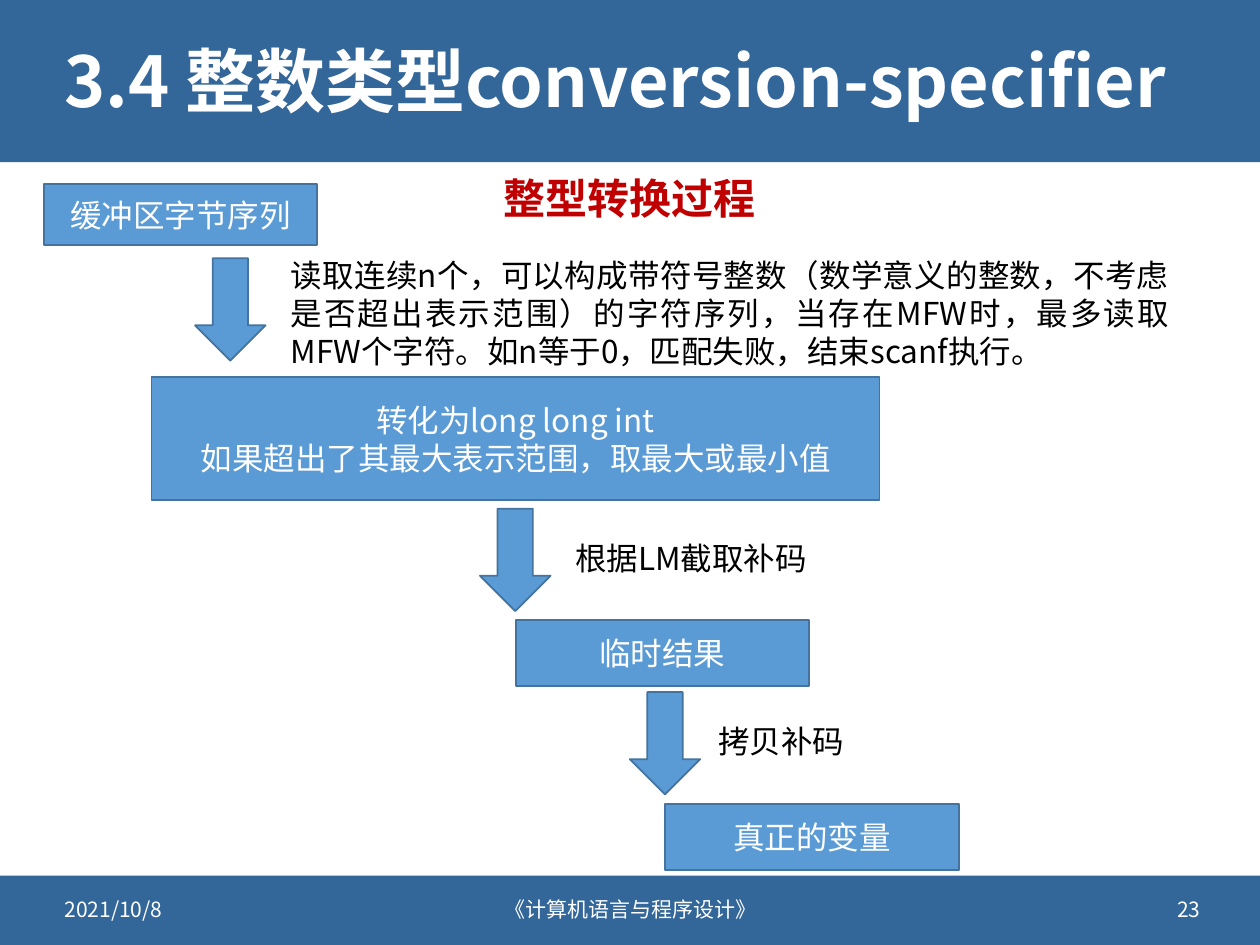
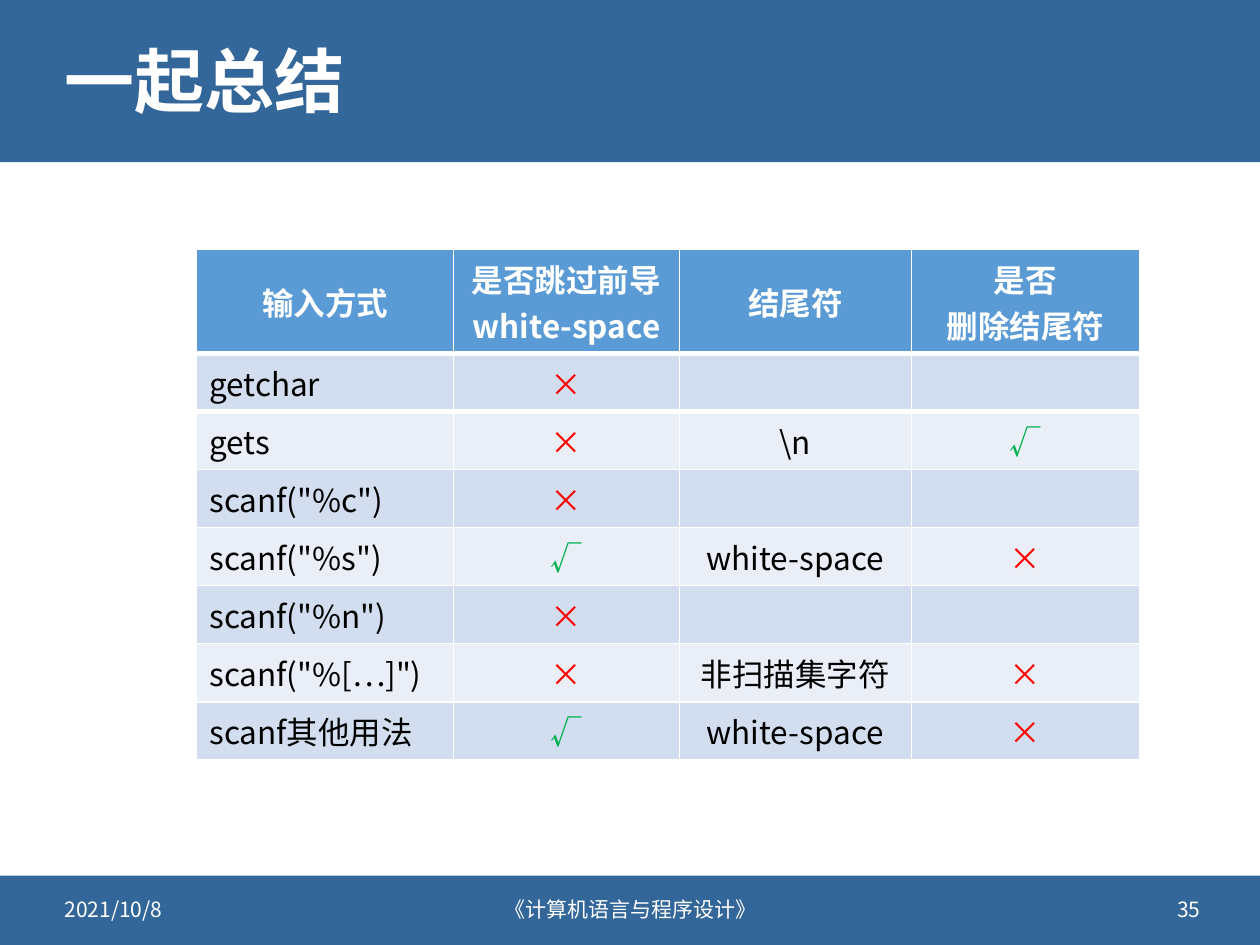
"""Build two lecture pages: the integer conversion flow and the input summary table."""
from dataclasses import dataclass

from lxml import etree
from pptx import Presentation
from pptx.dml.color import RGBColor
from pptx.enum import shapes, text
from pptx.oxml import ns
from pptx.util import Pt

FONT = "Noto Sans CJK SC"
LINE_RATIO = 1.21
COLORS = {
    "band": "336699",
    "accent": "5B9BD5",
    "outline": "43739E",
    "white": "FFFFFF",
    "black": "000000",
    "heading": "C00000",
    "row_odd": "D2DEEF",
    "row_even": "EAEFF7",
    "no": "FF0000",
    "yes": "00B050",
}
LEFT, CENTER, RIGHT, JUSTIFY = (
    text.PP_ALIGN.LEFT, text.PP_ALIGN.CENTER, text.PP_ALIGN.RIGHT, text.PP_ALIGN.JUSTIFY
)
TOP, MIDDLE = text.MSO_ANCHOR.TOP, text.MSO_ANCHOR.MIDDLE
RECT, ARROW = shapes.MSO_SHAPE.RECTANGLE, shapes.MSO_SHAPE.DOWN_ARROW
PAGE_WIDTH, PAGE_HEIGHT = 720, 540
ARROW_SIZE = (40.3, 58.5)


@dataclass(frozen=True)
class Area:
    left: float
    top: float
    width: float
    height: float

    def lengths(self) -> list:
        return [Pt(v) for v in (self.left, self.top, self.width, self.height)]


@dataclass(frozen=True)
class Style:
    size: float = 18
    color: str = "black"
    bold: bool = False
    align: int = LEFT
    anchor: int = TOP
    spacing: float | None = 1


@dataclass(frozen=True)
class Label:
    area: Area
    words: str
    style: Style


@dataclass(frozen=True)
class Step:
    area: Area
    words: str


TITLE = Style(40, "white", True, anchor=MIDDLE, spacing=0.9)
HEADING = Style(24, "heading", True, CENTER, spacing=1.1)
STEP = Style(color="white", align=CENTER, anchor=MIDDLE)
NOTE = Style(align=JUSTIFY)
HEAD_CELL = Style(color="white", bold=True, align=CENTER, anchor=MIDDLE, spacing=None)
NAME_CELL = Style(spacing=None)

BANDS = [Area(0, 0, PAGE_WIDTH, 92.7), Area(0, 500.4, PAGE_WIDTH, 39.6)]
TITLE_AREA = Area(29.7, 12.2, 661.7, 71.3)
FOOTER_TOP, FOOTER_HEIGHT = 505.1, 28.8
FOOTERS = [
    (Area(29.8, FOOTER_TOP, 172.8, FOOTER_HEIGHT), "2021/10/8", LEFT),
    (Area(230.6, FOOTER_TOP, 259.2, FOOTER_HEIGHT), "《计算机语言与程序设计》", CENTER),
]
NUMBER_AREA = Area(520.2, FOOTER_TOP, 172.8, FOOTER_HEIGHT)

STEPS = [
    Step(Area(25.2, 105.1, 156, 34.9), "缓冲区字节序列"),
    Step(Area(86.6, 215.5, 416, 70.1),
         "转化为long long int\n如果超出了其最大表示范围，取最大或最小值"),
    Step(Area(294.7, 354.4, 167.8, 37.6), "临时结果"),
    Step(Area(380.1, 459.5, 167.8, 37.6), "真正的变量"),
]
ARROWS = [(111.5, 147.6), (274.3, 290.7), (359.9, 395.5)]
NOTES = [
    Label(Area(0, 92.2, PAGE_WIDTH, 36.7), "整型转换过程", HEADING),
    Label(Area(159, 142.6, 516.2, 72.7),
          "读取连续n个，可以构成带符号整数（数学意义的整数，不考虑是否超出表示范围）"
          "的字符序列，当存在MFW时，最多读取MFW个字符。如n等于0，匹配失败，"
          "结束scanf执行。", NOTE),
    Label(Area(321.7, 304.2, 163.4, 28.8), "根据LM截取补码", NOTE),
    Label(Area(403.5, 409, 163.4, 28.8), "拷贝补码", NOTE),
]

COLUMN_WIDTHS = [146.8, 129, 132.6, 130.4]
MARKS = {"×": "no", "√": "yes"}
SUMMARY = [
    ["输入方式", "是否跳过前导\nwhite-space", "结尾符", "是否\n删除结尾符"],
    ["getchar", "×", "", ""],
    ["gets", "×", r"\n", "√"],
    ['scanf("%c")', "×", "", ""],
    ['scanf("%s")', "√", "white-space", "×"],
    ['scanf("%n")', "×", "", ""],
    ['scanf("%[…]")', "×", "非扫描集字符", "×"],
    ["scanf其他用法", "√", "white-space", "×"],
]
ROW_HEIGHTS = [59.2] + [33.2] * (len(SUMMARY) - 1)
TABLE_AREA = Area(112.4, 142.7, sum(COLUMN_WIDTHS), sum(ROW_HEIGHTS))
HEAD_RULE_EDGES = {0: "a:lnB", 1: "a:lnT"}


def rgb(name: str) -> RGBColor:
    return RGBColor.from_string(COLORS[name])


def paint(target, color: str) -> None:
    target.fill.solid()
    target.fill.fore_color.rgb = rgb(color)


def write(frame, words: str, style: Style) -> None:
    frame.word_wrap = True
    frame.vertical_anchor = style.anchor
    formats = {"size": Pt(style.size), "bold": style.bold, "name": FONT}
    for index, line in enumerate(words.split("\n")):
        para = frame.add_paragraph() if index else frame.paragraphs[0]
        para.alignment = style.align
        if style.spacing:
            para.line_spacing = Pt(round(style.size * LINE_RATIO * style.spacing, 1))
        span = para.add_run()
        span.text = line
        for key, value in formats.items():
            setattr(span.font, key, value)
        span.font.color.rgb = rgb(style.color)
        etree.SubElement(span.font._element, ns.qn("a:ea"), typeface=FONT)


def add_label(page, label: Label) -> None:
    box = page.shapes.add_textbox(*label.area.lengths())
    write(box.text_frame, label.words, label.style)


def add_block(page, kind, area: Area, fill: str, outline: str | None = None):
    block = page.shapes.add_shape(kind, *area.lengths())
    block.shadow.inherit = False
    paint(block, fill)
    if outline:
        block.line.color.rgb = rgb(outline)
        block.line.width = Pt(1)
    else:
        block.line.fill.background()
    return block


def add_page(deck, title: str, number: int):
    page = deck.slides.add_slide(deck.slide_layouts[6])
    for band in BANDS:
        add_block(page, RECT, band, "band")
    add_label(page, Label(TITLE_AREA, title, TITLE))
    for area, words, align in [*FOOTERS, (NUMBER_AREA, str(number), RIGHT)]:
        add_label(page, Label(area, words, Style(12, "white", align=align, anchor=MIDDLE)))
    return page


def add_flow(page) -> None:
    for step in STEPS:
        block = add_block(page, RECT, step.area, "accent", "outline")
        write(block.text_frame, step.words, STEP)
    for left, top in ARROWS:
        add_block(page, ARROW, Area(left, top, *ARROW_SIZE), "accent", "outline")
    for note in NOTES:
        add_label(page, note)


def cell_style(row: int, column: int, words: str) -> Style:
    if row == 0:
        return HEAD_CELL
    if column == 0:
        return NAME_CELL
    return Style(color=MARKS.get(words, "black"), align=CENTER, spacing=None)


def add_rule(cell, edge: str, width: float) -> None:
    line = etree.Element(ns.qn(edge), w=str(Pt(width)))
    fill = etree.SubElement(line, ns.qn("a:solidFill"))
    etree.SubElement(fill, ns.qn("a:srgbClr"), val=COLORS["white"])
    cell._tc.get_or_add_tcPr().insert(0, line)


def add_summary(page) -> None:
    table = page.shapes.add_table(
        len(SUMMARY), len(COLUMN_WIDTHS), *TABLE_AREA.lengths()
    ).table
    for column, width in zip(table.columns, COLUMN_WIDTHS):
        column.width = Pt(width)
    for r, words_in_row in enumerate(SUMMARY):
        table.rows[r].height = Pt(ROW_HEIGHTS[r])
        fill = "accent" if r == 0 else "row_odd" if r % 2 else "row_even"
        for c, words in enumerate(words_in_row):
            cell = table.cell(r, c)
            paint(cell, fill)
            if r in HEAD_RULE_EDGES:
                add_rule(cell, HEAD_RULE_EDGES[r], 3)
            if words:
                style = cell_style(r, c, words)
                write(cell.text_frame, words, style)
                cell.vertical_anchor = style.anchor


def main() -> None:
    deck = Presentation()
    deck.slide_width, deck.slide_height = Pt(PAGE_WIDTH), Pt(PAGE_HEIGHT)
    add_flow(add_page(deck, "3.4 整数类型conversion-specifier", 23))
    add_summary(add_page(deck, "一起总结", 35))
    deck.save("out.pptx")


if __name__ == "__main__":
    main()
